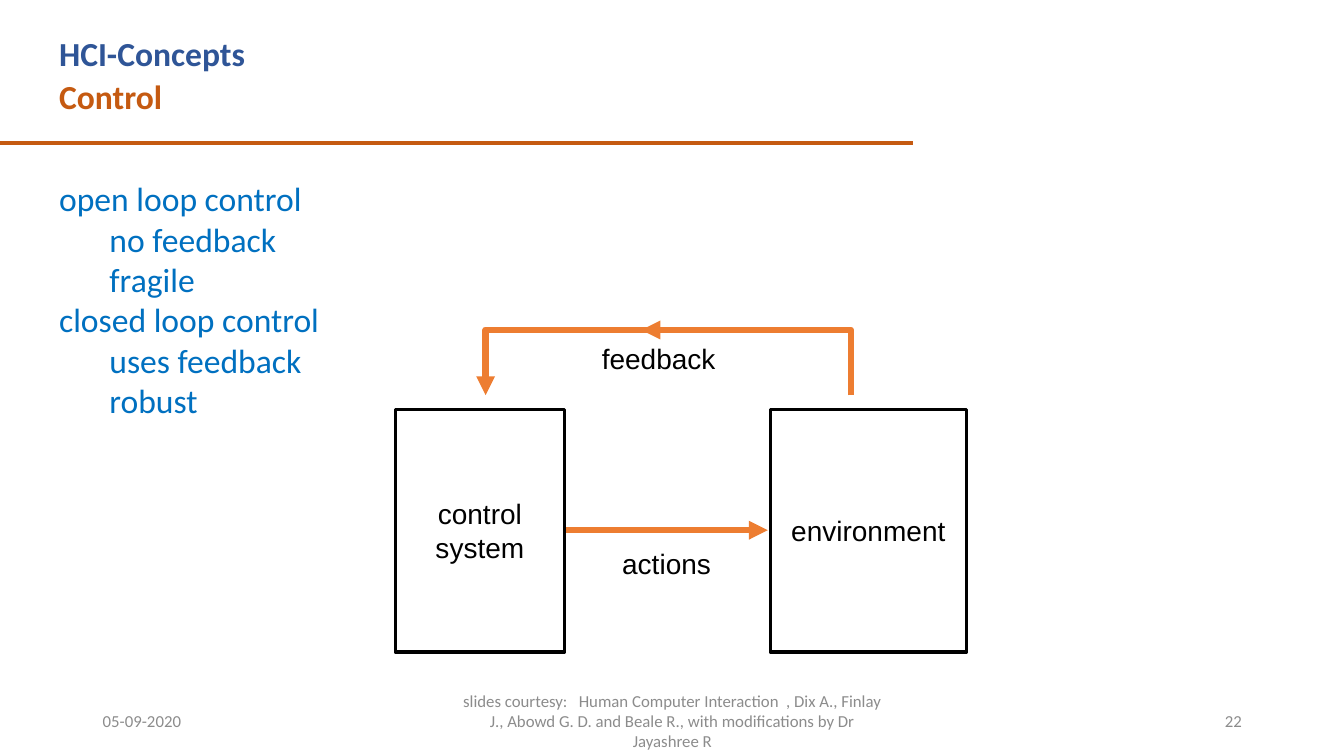
from lxml.etree import SubElement
from pptx import Presentation
from pptx.dml.color import RGBColor
from pptx.enum.shapes import MSO_CONNECTOR as Connector, MSO_SHAPE as Shape
from pptx.enum.text import MSO_ANCHOR as Anchor, PP_ALIGN as Align
from pptx.oxml.ns import qn
from pptx.util import Cm, Pt

NAVY = RGBColor(0x2F, 0x55, 0x97)
RUST = RGBColor(0xC5, 0x5A, 0x11)
BLUE = RGBColor(0x00, 0x70, 0xC0)
GREY = RGBColor(0x8C, 0x8C, 0x8C)
ORANGE = RGBColor(0xED, 0x7D, 0x31)
BLACK = RGBColor(0, 0, 0)

# Positions are (left, top, width, height) in centimetres
HEADINGS = [
    ("HCI-Concepts", (1.24, 0.71, 19.41, 1.27), NAVY),
    ("Control", (1.24, 1.8, 20.42, 1.27), RUST),
]
HEADING_RULE = ((0, 3.61), (23.01, 3.61))
OUTLINE_BOX = (1.24, 4.37, 14.66, 7.44)
OUTLINE = [
    ("open loop control", ["no feedback", "fragile"]),
    ("closed loop control", ["uses feedback", "robust"]),
]
FOOTER_TOP, FOOTER_HEIGHT = 17.65, 1.02
FOOTERS = [
    ("05-09-2020", 2.34, 7.62, Align.LEFT),
    ("slides courtesy:   Human Computer Interaction  , Dix A., Finlay J., Abowd G. D. "
     "and Beale R., with modifications by Dr Jayashree R", 11.23, 11.43, Align.CENTER),
    ("22", 23.93, 7.62, Align.RIGHT),
]
BLOCKS = [
    ("control\vsystem", (9.96, 10.31, 4.27, 6.12)),
    ("environment", (19.41, 10.31, 4.95, 6.12)),
]
LABELS = [
    ("actions", (15.34, 13.64, 2.92, 2.9)),
    ("feedback", (14.91, 8.48, 3.38, 1.09)),
]
ACTION_ARROW = ((14.27, 13.36), (19.35, 13.36))
# Begin, end (before turning) and clockwise turn in degrees
FEEDBACK_ARROWS = [
    ((19.63, 6.5), (17.98, 11.78), 90),
    ((16.59, 8.31), (12.24, 9.96), 0),
]


def cm(values):
    return [Cm(value) for value in values]


def style(paragraph, font_name, size, color, bold=False, align=Align.LEFT):
    paragraph.alignment = align
    font = paragraph.font
    font.name, font.size, font.bold = font_name, Pt(size), bold
    font.color.rgb = color


def add_text(slide, text, box, *text_style, anchor=Anchor.TOP, wrap=True, **options):
    frame = slide.shapes.add_textbox(*cm(box)).text_frame
    frame.word_wrap = wrap
    frame.vertical_anchor = anchor
    frame.text = text
    style(frame.paragraphs[0], *text_style, **options)


def add_outline(slide):
    frame = slide.shapes.add_textbox(*cm(OUTLINE_BOX)).text_frame
    frame.word_wrap = True
    lines = [(text, level) for topic, points in OUTLINE
             for text, level in [(topic, 0)] + [(point, 1) for point in points]]
    frame.text = "\n".join(text for text, _ in lines)
    for paragraph, (_, level) in zip(frame.paragraphs, lines):
        paragraph.level = level
        properties = paragraph._p.get_or_add_pPr()
        properties.set("marL", str(Cm(1.27) * level))
        properties.set("indent", "0")
        style(paragraph, "Calibri", 24, BLUE)


def add_block(slide, text, box):
    block = slide.shapes.add_shape(Shape.RECTANGLE, *cm(box))
    block.shadow.inherit = False
    block.fill.background()
    block.line.color.rgb = BLACK
    block.line.width = Pt(2.25)
    frame = block.text_frame
    frame.word_wrap = False
    frame.vertical_anchor = Anchor.MIDDLE
    frame.text = text
    style(frame.paragraphs[0], "Arial", 20, BLACK, align=Align.CENTER)


def add_line(slide, begin, end, color, width, arrow=False, kind=Connector.STRAIGHT):
    connector = slide.shapes.add_connector(kind, *cm(begin + end))
    connector.line.color.rgb = color
    connector.line.width = Pt(width)
    if arrow:
        SubElement(connector.line._get_or_add_ln(), qn("a:tailEnd"), type="triangle")
    SubElement(connector._element.spPr, qn("a:effectLst"))
    return connector


def add_corner_arrow(slide, begin, end, turn):
    """Add an arrow with a single right-angle bend."""
    arrow = add_line(slide, begin, end, ORANGE, 4.5, arrow=True, kind=Connector.ELBOW)
    properties = arrow._element.spPr
    properties.find(qn("a:prstGeom")).set("prst", "bentConnector2")
    properties.find(qn("a:xfrm")).set("rot", str(turn * 60000))


def main():
    presentation = Presentation()
    presentation.slide_width, presentation.slide_height = Cm(33.87), Cm(19.05)
    slide = presentation.slides.add_slide(presentation.slide_layouts[6])

    for text, box, color in HEADINGS:
        add_text(slide, text, box, "Calibri", 24, color, bold=True)
    add_line(slide, *HEADING_RULE, RUST, 3)
    for text, left, width, align in FOOTERS:
        add_text(slide, text, (left, FOOTER_TOP, width, FOOTER_HEIGHT),
                 "Calibri", 12, GREY, anchor=Anchor.MIDDLE, align=align)
    add_outline(slide)

    for text, box in BLOCKS:
        add_block(slide, text, box)
    add_line(slide, *ACTION_ARROW, ORANGE, 4.5, arrow=True)
    for text, box in LABELS:
        add_text(slide, text, box, "Arial", 20, BLACK, wrap=False, align=Align.CENTER)
    for begin, end, turn in FEEDBACK_ARROWS:
        add_corner_arrow(slide, begin, end, turn)

    presentation.save("out.pptx")


if __name__ == "__main__":
    main()
